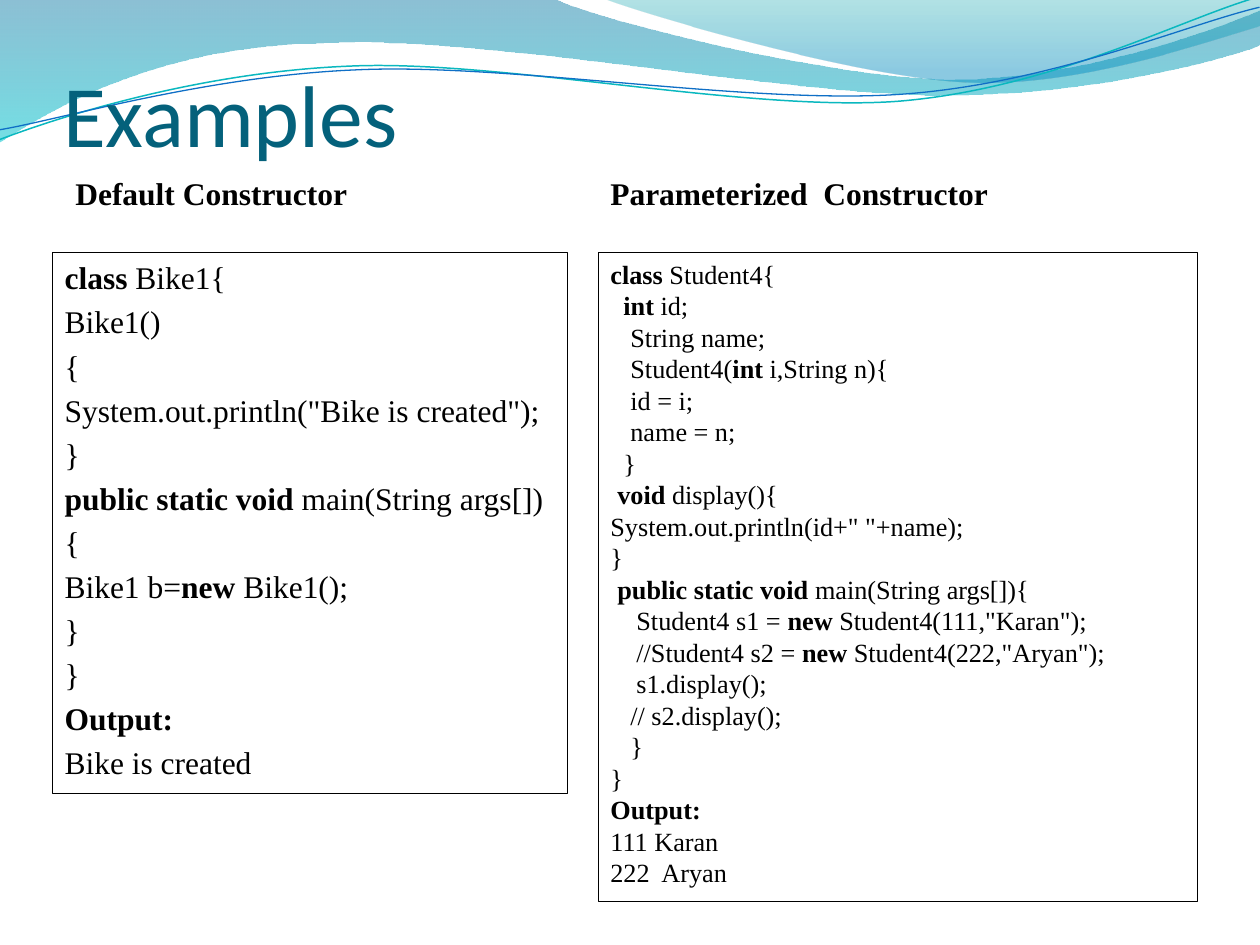
from dataclasses import dataclass
from typing import Any, NamedTuple

from lxml import etree
from pptx import Presentation
from pptx.dml.color import RGBColor
from pptx.enum import text
from pptx.oxml import ns
from pptx.util import Emu, Pt

PX = 914400 // 126

BLACK = RGBColor(0x00, 0x00, 0x00)
TITLE_TEAL = RGBColor(0x04, 0x61, 0x7B)
DEEP_BLUE = RGBColor(0x00, 0x74, 0xA1)
CYAN = RGBColor(0x00, 0xC6, 0xCF)
SEA_GREEN = RGBColor(0x00, 0xA1, 0xA9)
SKY_BLUE = RGBColor(0x00, 0x8B, 0xBF)
LINE_CYAN = RGBColor(0x0A, 0xB8, 0xBF)
LINE_BLUE = RGBColor(0x0F, 0x6F, 0xC6)

SERIF = "Times New Roman"


class Box(NamedTuple):
    left: int
    top: int
    width: int
    height: int


class Stop(NamedTuple):
    position: float
    color: RGBColor
    opacity: int


class Line(NamedTuple):
    text: str
    margin: int = 0
    hanging: int = 0


@dataclass
class Wave:
    segments: list[tuple[int, ...]]
    stops: tuple[Stop, ...] = ()
    color: RGBColor = BLACK
    weight: float = 0
    rotation: float = 0


@dataclass
class Panel:
    box: Box
    lines: list[Line]
    size: int
    outlined: bool = True


WAVES = [
    Wave([(0, 0), (554, -1), (600, 21, 837, 79, 955, 79), (1075, 79, 1207, 33, 1260, 11),
          (1261, 45), (1239, 55, 1096, 96, 940, 95), (784, 95, 481, 35, 324, 43),
          (163, 45, 58, 105, -1, 142)],
         stops=(Stop(0, DEEP_BLUE, 45), Stop(1, CYAN, 55))),
    Wave([(604, -1), (641, 14, 859, 78, 969, 82), (1079, 87, 1211, 40, 1260, 26), (1260, 0)],
         stops=(Stop(0, SEA_GREEN, 30), Stop(0.8, SKY_BLUE, 45))),
    Wave([(-3, 110), (58, 90, 199, 52, 350, 53), (499, 53, 745, 118, 896, 114),
          (1049, 109, 1184, 45, 1260, 27)], color=LINE_CYAN, weight=0.85, rotation=357.3),
    Wave([(-2, 100), (57, 93, 207, 56, 357, 57), (509, 57, 749, 111, 902, 107),
          (1052, 103, 1187, 51, 1262, 37)], color=LINE_BLUE, weight=0.75, rotation=357.3),
]

BIKE_CODE = [
    "*class* Bike1{", "Bike1()", "{", 'System.out.println("Bike is created");', "}",
    "*public static void* main(String args[])", "{", "Bike1 b=*new* Bike1();", "}", "}",
    "*Output:*", "Bike is created",
]

STUDENT_CODE = [
    Line("*class* Student4{"),
    Line("*int* id;", 13),
    Line("String name;", 20),
    Line("Student4(*int* i,String n){", 20),
    Line("id = i;", 20),
    Line("name = n;", 20),
    Line("}", 13),
    Line("*void* display(){", 7),
    Line('System.out.println(id+" "+name);'),
    Line("}"),
    Line("*public static void* main(String args[]){", 7),
    Line('Student4 s1 = *new* Student4(111,"Karan");', 26),
    Line('//Student4 s2 = *new* Student4(222,"Aryan");', 26),
    Line("s1.display();", 26),
    Line("// s2.display();", 20),
    Line("}", 20),
    Line("}"),
    Line("*Output:*"),
    Line("111 Karan"),
    Line("222  Aryan"),
]

BIKE_PANEL = Panel(Box(52, 252, 515, 554), [Line(code, 38, -38) for code in BIKE_CODE], 18)
TEXT_PANELS = [
    Panel(Box(63, 168, 431, 50), [Line("*Default Constructor*")], 18, outlined=False),
    Panel(Box(598, 252, 599, 649), STUDENT_CODE, 15),
    Panel(Box(598, 168, 567, 50), [Line("*Parameterized  Constructor*")], 18, outlined=False),
]


def set_all(target: Any, values: dict[str, Any]) -> None:
    for name, value in values.items():
        setattr(target, name, value)


def place(shape: Any, box: Box) -> None:
    set_all(shape, {name: Emu(value * PX) for name, value in box._asdict().items()})


def bend_segments(shape: Any, segments: list[tuple[int, ...]]) -> None:
    straight = iter(list(shape._element.iter(ns.qn("a:lnTo"))))
    for segment in segments:
        steps = [next(straight) for _ in range(len(segment) // 2)]
        if len(steps) == 3:
            curve = etree.Element(ns.qn("a:cubicBezTo"))
            steps[0].addprevious(curve)
            for step in steps:
                curve.append(step[0])
                step.getparent().remove(step)


def fill_gradient(shape: Any, stops: tuple[Stop, ...]) -> None:
    shape.fill.gradient()
    shape.fill.gradient_angle = 270
    for target, stop in zip(shape.fill.gradient_stops, stops):
        target.color.rgb = stop.color
        target.position = stop.position
    for element, stop in zip(shape._element.iter(ns.qn("a:srgbClr")), stops):
        etree.SubElement(element, ns.qn("a:alpha"), val=str(stop.opacity * 1000))


def draw_wave(slide: Any, wave: Wave, depth: int) -> None:
    start, *segments = wave.segments
    points = [segment[i:i + 2] for segment in segments for i in range(0, len(segment), 2)]
    builder = slide.shapes.build_freeform(start[0], start[1], scale=PX)
    builder.add_line_segments(points, close=bool(wave.stops))
    shape = builder.convert_to_shape()
    bend_segments(shape, segments)
    shape.rotation = wave.rotation
    shape.shadow.inherit = False
    if wave.stops:
        fill_gradient(shape, wave.stops)
        shape.line.fill.background()
    else:
        shape.fill.background()
        shape.line.color.rgb = wave.color
        shape.line.width = Pt(wave.weight)
    slide.shapes._spTree.insert(2 + depth, shape._element)


def write_line(paragraph: Any, line: Line, size: int) -> None:
    properties = paragraph._p.get_or_add_pPr()
    properties.set("marL", str(line.margin * PX))
    properties.set("indent", str(line.hanging * PX))
    etree.SubElement(properties, ns.qn("a:buNone"))
    for index, part in enumerate(line.text.split("*")):
        if part:
            run = paragraph.add_run()
            run.text = part
            set_all(run.font, {"name": SERIF, "size": Pt(size), "bold": index % 2 == 1})
            run.font.color.rgb = BLACK


def draw_panel(shape: Any, panel: Panel) -> None:
    place(shape, panel.box)
    frame = shape.text_frame
    set_all(frame, {"word_wrap": True, "auto_size": text.MSO_AUTO_SIZE.SHAPE_TO_FIT_TEXT})
    for index, line in enumerate(panel.lines):
        write_line(frame.add_paragraph() if index else frame.paragraphs[0], line, panel.size)
    if panel.outlined:
        shape.line.color.rgb = BLACK
        shape.line.width = Pt(0.5)


def draw_title(shape: Any) -> None:
    place(shape, Box(63, 42, 1134, 123))
    frame = shape.text_frame
    frame.text = "Examples"
    set_all(frame, {"vertical_anchor": text.MSO_ANCHOR.BOTTOM, "margin_left": 0,
                    "margin_right": 0, "margin_bottom": 0,
                    "auto_size": text.MSO_AUTO_SIZE.NONE})
    paragraph = frame.paragraphs[0]
    paragraph.alignment = text.PP_ALIGN.LEFT
    font = paragraph.runs[0].font
    set_all(font, {"name": "Calibri", "size": Pt(50)})
    font.color.rgb = TITLE_TEAL


def main() -> None:
    presentation = Presentation()
    set_all(presentation, {"slide_width": Emu(1260 * PX), "slide_height": Emu(945 * PX)})
    slide = presentation.slides.add_slide(presentation.slide_layouts[1])
    for depth, wave in enumerate(WAVES):
        draw_wave(slide, wave, depth)
    draw_title(slide.shapes.title)
    draw_panel(slide.placeholders[1], BIKE_PANEL)
    for panel in TEXT_PANELS:
        draw_panel(slide.shapes.add_textbox(0, 0, 0, 0), panel)
    presentation.save("out.pptx")


if __name__ == "__main__":
    main()
